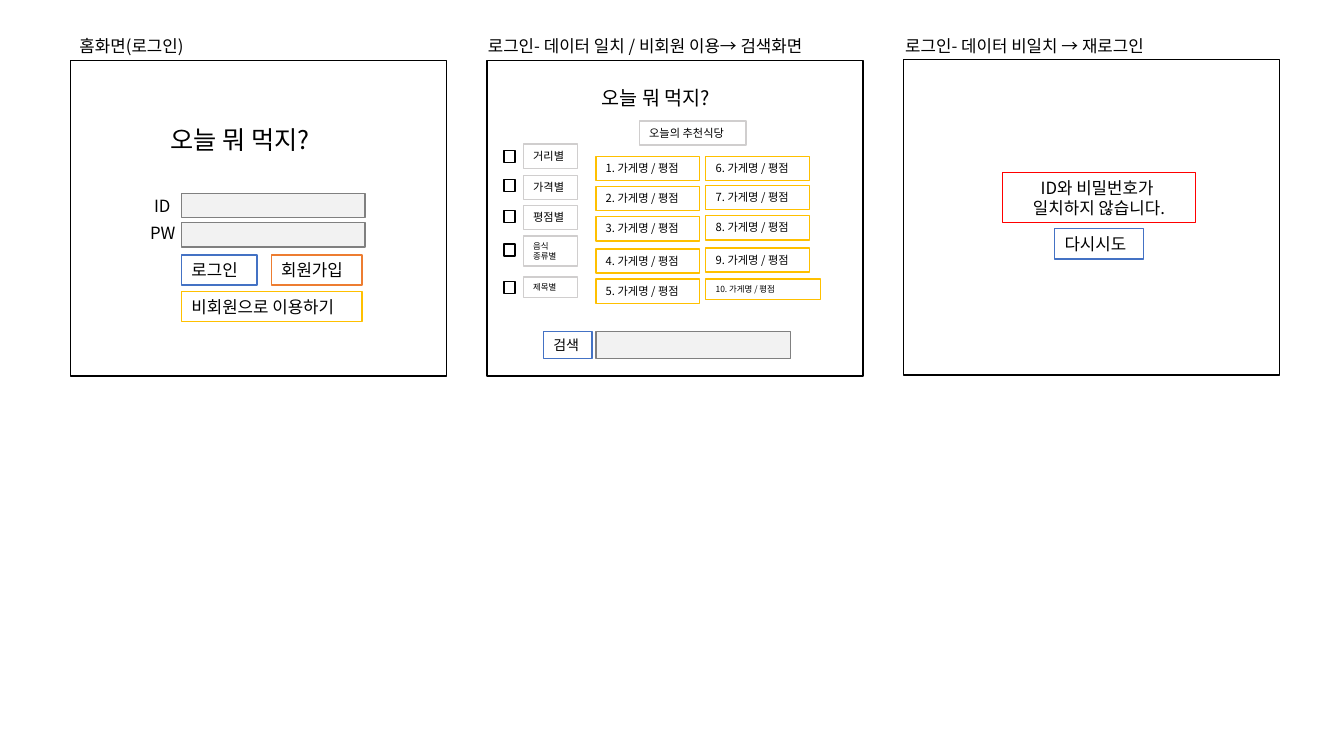
from lxml import etree
from pptx import Presentation
from pptx.dml.color import RGBColor
from pptx.enum.shapes import MSO_SHAPE
from pptx.enum.text import MSO_ANCHOR, MSO_AUTO_SIZE, PP_ALIGN
from pptx.oxml.ns import qn
from pptx.util import Inches, Pt

BLACK, WHITE, FIELD, GRAY, SILVER = "000000", "FFFFFF", "F2F2F2", "808080", "D0CECE"
BLUE, ORANGE, GOLD, RED = "4472C4", "ED7D31", "FFC000", "FF0000"


def color(value):
    return RGBColor.from_string(value)


class Wireframe:
    """Draws styled wireframe elements on one slide."""

    font = "Noto Sans CJK KR"

    def __init__(self, slide):
        self.slide = slide

    def set_text(self, shape, text, size, align=PP_ALIGN.LEFT):
        frame = shape.text_frame
        frame.text = text
        frame.word_wrap = True
        frame.auto_size = MSO_AUTO_SIZE.NONE
        frame.vertical_anchor = MSO_ANCHOR.TOP
        frame.margin_left, frame.margin_top, frame.margin_bottom = Inches(0.1), Inches(0.05), Inches(0.05)
        frame.margin_right = Inches(0.1 if align == PP_ALIGN.CENTER else 0)
        for paragraph in frame.paragraphs:
            paragraph.alignment = align
            for run in paragraph.runs:
                run.font.name = self.font
                run.font.size = Pt(size)
                run.font.color.rgb = color(BLACK)
                east_asian = etree.SubElement(run.font._element, qn("a:ea"))
                east_asian.set("typeface", self.font)

    def title(self, text, left, top, width, height, size):
        shape = self.slide.shapes.title
        shape.left, shape.top = Inches(left), Inches(top)
        shape.width, shape.height = Inches(width), Inches(height)
        self.set_text(shape, text, size)

    def label(self, text, left, top, width, height=0.3, size=12):
        box = self.slide.shapes.add_textbox(Inches(left), Inches(top), Inches(width), Inches(height))
        self.set_text(box, text, size)

    def box(self, left, top, width, height, line, fill=None):
        shape = self.slide.shapes.add_shape(
            MSO_SHAPE.RECTANGLE, Inches(left), Inches(top), Inches(width), Inches(height))
        shape.shadow.inherit = False
        shape.line.color.rgb = color(line)
        shape.line.width = Pt(1)
        if fill:
            shape.fill.solid()
            shape.fill.fore_color.rgb = color(fill)
        else:
            shape.fill.background()
        return shape

    def button(self, text, left, top, width, height, line, size=12):
        self.set_text(self.box(left, top, width, height, line, WHITE), text, size)

    def message(self, text, left, top, width, height, line):
        self.set_text(self.box(left, top, width, height, line), text, 12, PP_ALIGN.CENTER)

    def screen(self, caption, left, top, caption_left, caption_width):
        self.box(left, top, 3.73, 3.13, BLACK)
        self.label(caption, caption_left, 0.31, caption_width)


prs = Presentation()
prs.slide_width, prs.slide_height = Inches(13.33), Inches(7.5)
page = Wireframe(prs.slides.add_slide(prs.slide_layouts[5]))
app_name = "오늘 뭐 먹지?"

page.screen("홈화면(로그인)", 0.7, 0.6, 0.69, 3)
page.title(app_name, 1.59, 1.18, 1.81, 0.4, 18)
for name, left, label_top, field_top in (("ID", 1.43, 1.89, 1.92), ("PW", 1.39, 2.16, 2.21)):
    page.box(1.8, field_top, 1.82, 0.24, GRAY, FIELD)
    page.label(name, left, label_top, 0.53)
page.button("로그인", 1.8, 2.53, 0.75, 0.3, BLUE)
page.button("회원가입", 2.69, 2.53, 0.9, 0.3, ORANGE)
page.button("비회원으로 이용하기", 1.8, 2.89, 1.79, 0.3, GOLD)

page.screen("로그인- 데이터 일치 / 비회원 이용→ 검색화면", 4.83, 0.6, 4.74, 3.82)
page.label(app_name, 5.87, 0.8, 1.47, 0.34, 14)
page.button("오늘의 추천식당", 6.34, 1.2, 1.06, 0.24, SILVER, 8)
filters = (
    ("거리별", 1.43, 0.24, 8, 1.49),
    ("가격별", 1.74, 0.24, 8, 1.78),
    ("평점별", 2.04, 0.24, 8, 2.09),
    ("음식\n종류별", 2.34, 0.3, 6, 2.42),
    ("제목별", 2.75, 0.2, 6, 2.79),
)
for name, top, height, size, check_top in filters:
    page.button(name, 5.19, top, 0.54, height, SILVER, size)
    page.box(5, check_top, 0.11, 0.12, BLACK)

restaurant_columns = (
    (5.91, (1.55, 1.85, 2.15, 2.47, 2.77)),
    (7, (1.55, 1.84, 2.14, 2.46, 2.77)),
)
rank = 0
for left, tops in restaurant_columns:
    for top in tops:
        rank += 1
        width, height, size = (1.14, 0.2, 6) if rank == 10 else (1.03, 0.24, 8)
        page.button(f"{rank}. 가게명\u00a0/ 평점", left, top, width, height, GOLD, size)
page.button("검색", 5.39, 3.29, 0.48, 0.27, BLUE, 10)
page.box(5.91, 3.29, 1.93, 0.27, GRAY, FIELD)

page.screen("로그인- 데이터 비일치\u00a0→ 재로그인", 8.96, 0.59, 8.88, 3.22)
page.message("ID와 비밀번호가 \n일치하지 않습니다.", 9.94, 1.71, 1.92, 0.5, RED)
page.button("다시시도", 10.46, 2.27, 0.88, 0.3, BLUE)

prs.save("out.pptx")
